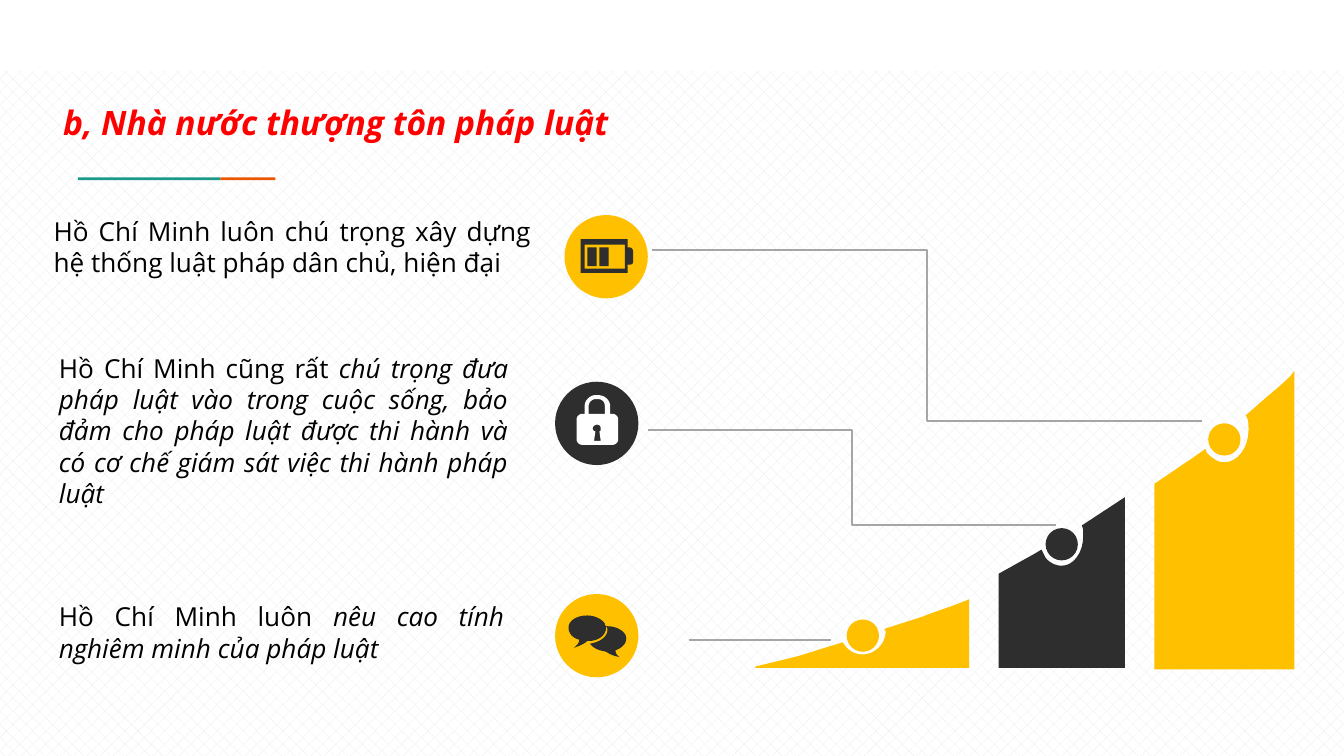
from lxml import etree
from pptx import Presentation
from pptx.dml.color import RGBColor
from pptx.enum.dml import MSO_PATTERN
from pptx.enum.shapes import MSO_CONNECTOR, MSO_SHAPE
from pptx.enum.text import MSO_ANCHOR, MSO_AUTO_SIZE, PP_ALIGN
from pptx.oxml.ns import qn
from pptx.util import Inches, Pt

RECT, OVAL = MSO_SHAPE.RECTANGLE, MSO_SHAPE.OVAL
ELBOW, STRAIGHT = MSO_CONNECTOR.ELBOW, MSO_CONNECTOR.STRAIGHT
LEFT, JUSTIFY = PP_ALIGN.LEFT, PP_ALIGN.JUSTIFY
TOP = MSO_ANCHOR.TOP
NO_AUTOFIT = MSO_AUTO_SIZE.NONE
PERCENT_30 = MSO_PATTERN.PERCENT_30

AMBER = RGBColor(0xFF, 0xC0, 0x00)
DARK = RGBColor(0x2E, 0x2E, 0x2E)
WHITE = RGBColor(0xFF, 0xFF, 0xFF)
BLACK = RGBColor(0x00, 0x00, 0x00)
RED = RGBColor(0xFF, 0x00, 0x00)
TEAL = RGBColor(0x1A, 0x99, 0x88)
ORANGE = RGBColor(0xEB, 0x56, 0x00)
GREY = RGBColor(0xA6, 0xA6, 0xA6)
HATCH = RGBColor(0xE9, 0xED, 0xEE)

FONT = "Open Sans"
DISC, DOT = 0.62, 0.24
CURVE_STEPS = 8

# Outlines in hundredths of an inch: a pair is a corner, six numbers a Bézier curve.
LOCK = [
    [(43, 24), (41, 24), (41, 18), (41, 14, 37, 10, 32, 10), (30, 10),
     (26, 10, 22, 14, 22, 18), (22, 24), (20, 24), (18, 24, 16, 26, 16, 28),
     (16, 43), (16, 45, 18, 47, 20, 47), (43, 47), (45, 47, 47, 45, 47, 43),
     (47, 28), (47, 26, 45, 24, 43, 24)],
    [(34, 44), (29, 44), (30, 37), (29, 37, 28, 36, 28, 35),
     (28, 33, 30, 32, 31, 32), (33, 32, 34, 33, 34, 35), (34, 36, 34, 37, 33, 37)],
    [(37, 24), (25, 24), (25, 18), (25, 15, 28, 13, 30, 13), (32, 13),
     (35, 13, 37, 15, 37, 18)],
]
BATTERY = [
    [(47, 24), (47, 18), (12, 18), (12, 43), (47, 43), (47, 37),
     (49, 37, 51, 37, 51, 35), (51, 27), (51, 24, 48, 24, 47, 24)],
    [(45, 40), (15, 40), (15, 22), (45, 22)],
]
BATTERY_CELLS = [(0.17, 0.24, 0.07, 0.14), (0.26, 0.24, 0.07, 0.14)]
BACK_BUBBLE = [
    [(53, 33), (53, 28, 46, 24, 39, 24), (38, 24), (39, 25, 39, 26, 39, 27),
     (39, 32, 33, 36, 26, 37), (28, 40, 32, 42, 38, 43), (42, 46, 48, 47, 48, 47),
     (45, 45, 45, 43, 45, 42), (50, 40, 53, 37, 53, 33)],
]
FRONT_BUBBLE = [
    [(37, 22), (35, 19, 30, 16, 24, 16), (16, 16, 10, 20, 10, 25),
     (10, 29, 13, 33, 18, 34), (18, 35, 18, 37, 14, 40), (14, 40, 21, 38, 24, 35),
     (25, 35), (32, 35, 38, 31, 38, 25), (38, 24, 37, 23, 37, 22)],
]
LOW_BAR = [
    [(159, 0), (159, 51), (0, 51), (0, 50), (29, 43), (40, 40, 51, 36, 62, 33),
     (65, 32), (68, 36), (71, 39, 75, 41, 80, 41), (89, 41, 97, 33, 97, 24),
     (96, 22), (124, 13), (134, 9, 144, 6, 154, 2)],
]
MIDDLE_BAR = [
    [(94, 0), (94, 127), (0, 127), (0, 57), (27, 42), (32, 39), (35, 45),
     (38, 49, 43, 51, 47, 51), (56, 51, 63, 41, 63, 29), (63, 27, 63, 26, 63, 24),
     (62, 21)],
]
HIGH_BAR = [
    [(104, 0), (104, 222), (0, 222), (0, 84), (28, 65), (38, 58), (39, 61),
     (43, 65, 47, 68, 52, 68), (62, 68, 70, 57, 70, 44), (70, 41, 70, 38, 69, 35),
     (68, 33), (84, 19), (90, 14, 96, 9, 101, 4)],
]

# text box, (plain, italic) wording, disc corner, disc colour, icon colour,
# icon outlines, icon rectangles
POINTS = [
    ((0.3, 1.55, 3.75, 0.57),
     ("Hồ Chí Minh luôn chú trọng xây dựng hệ thống luật pháp dân chủ, hiện đại", ""),
     (4.2, 1.6), AMBER, DARK, [BATTERY], BATTERY_CELLS),
    ((0.34, 2.57, 3.54, 1.28),
     ("Hồ Chí Minh cũng rất ",
      "chú trọng đưa pháp luật vào trong cuộc sống, bảo đảm cho pháp luật được "
      "thi hành và có cơ chế giám sát việc thi hành pháp luật"),
     (4.13, 2.84), DARK, WHITE, [LOCK], []),
    ((0.34, 4.42, 3.51, 0.57),
     ("Hồ Chí Minh luôn ", "nêu cao tính nghiêm minh của pháp luật"),
     (4.13, 4.42), AMBER, DARK, [BACK_BUBBLE, FRONT_BUBBLE], []),
]
# bar corner, outline, colour, dot offset in the bar
BARS = [
    ((8.59, 2.76), HIGH_BAR, AMBER, (0.4, 0.39)),
    ((7.43, 3.7), MIDDLE_BAR, DARK, (0.35, 0.23)),
    ((5.62, 4.46), LOW_BAR, AMBER, (0.68, 0.15)),
]
LEADERS = [
    (ELBOW, (4.82, 3.2, 7.86, 3.91)),
    (ELBOW, (4.85, 1.86, 8.94, 3.13)),
    (STRAIGHT, (6.18, 4.76, 5.13, 4.76)),
]


def paint(shape, color):
    shape.shadow.inherit = False
    shape.fill.solid()
    shape.fill.fore_color.rgb = color
    shape.line.fill.background()


def add_solid(slide, kind, box, color):
    paint(slide.shapes.add_shape(kind, *map(Inches, box)), color)


def flatten(contour):
    """Turn corners and curves into a plain list of points."""
    points = [contour[0]]
    for step in contour[1:]:
        if len(step) == 2:
            points.append(step)
            continue
        controls = [points[-1], step[:2], step[2:4], step[4:]]
        for i in range(1, CURVE_STEPS + 1):
            t = i / CURVE_STEPS
            weights = ((1 - t) ** 3, 3 * t * (1 - t) ** 2, 3 * t * t * (1 - t), t ** 3)
            points.append(tuple(sum(w * c[axis] for w, c in zip(weights, controls))
                                for axis in (0, 1)))
    return points


def add_outline(slide, corner, contours, color):
    left, top = corner
    builder = None
    for contour in contours:
        points = [(Inches(left + x / 100), Inches(top + y / 100))
                  for x, y in flatten(contour)]
        if builder is None:
            builder = slide.shapes.build_freeform(*points[0])
        else:
            builder.move_to(*points[0])
        builder.add_line_segments(points[1:], close=True)
    paint(builder.convert_to_shape(), color)


def add_heading(slide, box):
    title = slide.shapes.title
    title.left, title.top, title.width, title.height = map(Inches, box)
    frame = title.text_frame
    frame.text = "b, Nhà nước thượng tôn pháp luật"
    frame.auto_size = NO_AUTOFIT
    frame.vertical_anchor = TOP
    heading = frame.paragraphs[0]
    heading.alignment = LEFT
    heading.line_spacing = 1.15
    heading.space_before = Pt(0)
    properties = heading._p.get_or_add_pPr()
    properties.set("marL", "0")
    properties.set("indent", str(Inches(0.5)))
    font = heading.font
    font.name, font.size, font.bold, font.italic = FONT, Pt(18), True, True
    font.color.rgb = RED


def add_point(slide, box, wording, corner, disc_color, icon_color, outlines, cells):
    frame = slide.shapes.add_textbox(*map(Inches, box)).text_frame
    frame.word_wrap = True
    paragraph = frame.paragraphs[0]
    paragraph.alignment = JUSTIFY
    paragraph.font.name, paragraph.font.size = FONT, Pt(14)
    paragraph.font.color.rgb = BLACK
    plain, stressed = wording
    paragraph.add_run().text = plain
    if stressed:
        run = paragraph.add_run()
        run.text = stressed
        run.font.italic = True
    left, top = corner
    add_solid(slide, OVAL, (left, top, DISC, DISC), disc_color)
    for outline in outlines:
        add_outline(slide, corner, outline, icon_color)
    for x, y, width, height in cells:
        add_solid(slide, RECT, (left + x, top + y, width, height), icon_color)


def add_leader(slide, kind, ends):
    leader = slide.shapes.add_connector(kind, *map(Inches, ends))
    leader.line.color.rgb = GREY
    leader.line.width = Pt(1)
    etree.SubElement(leader._element.spPr, qn("a:effectLst"))


def add_bar(slide, corner, outline, color, dot_offset):
    add_outline(slide, corner, outline, color)
    dot = [start + offset for start, offset in zip(corner, dot_offset)]
    add_solid(slide, OVAL, (*dot, DOT, DOT), color)


def main():
    deck = Presentation()
    deck.slide_width = Inches(10)
    deck.slide_height = deck.slide_width * 9 // 16
    slide = deck.slides.add_slide(deck.slide_layouts[5])
    background = slide.background.fill
    background.patterned()
    background.pattern = PERCENT_30
    background.fore_color.rgb, background.back_color.rgb = HATCH, WHITE

    add_solid(slide, RECT, (0, 0, 10, 0.53), WHITE)
    add_heading(slide, (-0.13, 0.66, 5.47, 0.43))
    add_solid(slide, RECT, (0.58, 1.32, 1.06, 0.02), TEAL)
    add_solid(slide, RECT, (1.64, 1.32, 0.41, 0.02), ORANGE)
    for leader in LEADERS:
        add_leader(slide, *leader)
    for point in POINTS:
        add_point(slide, *point)
    for bar in BARS:
        add_bar(slide, *bar)
    deck.save("out.pptx")


if __name__ == "__main__":
    main()
